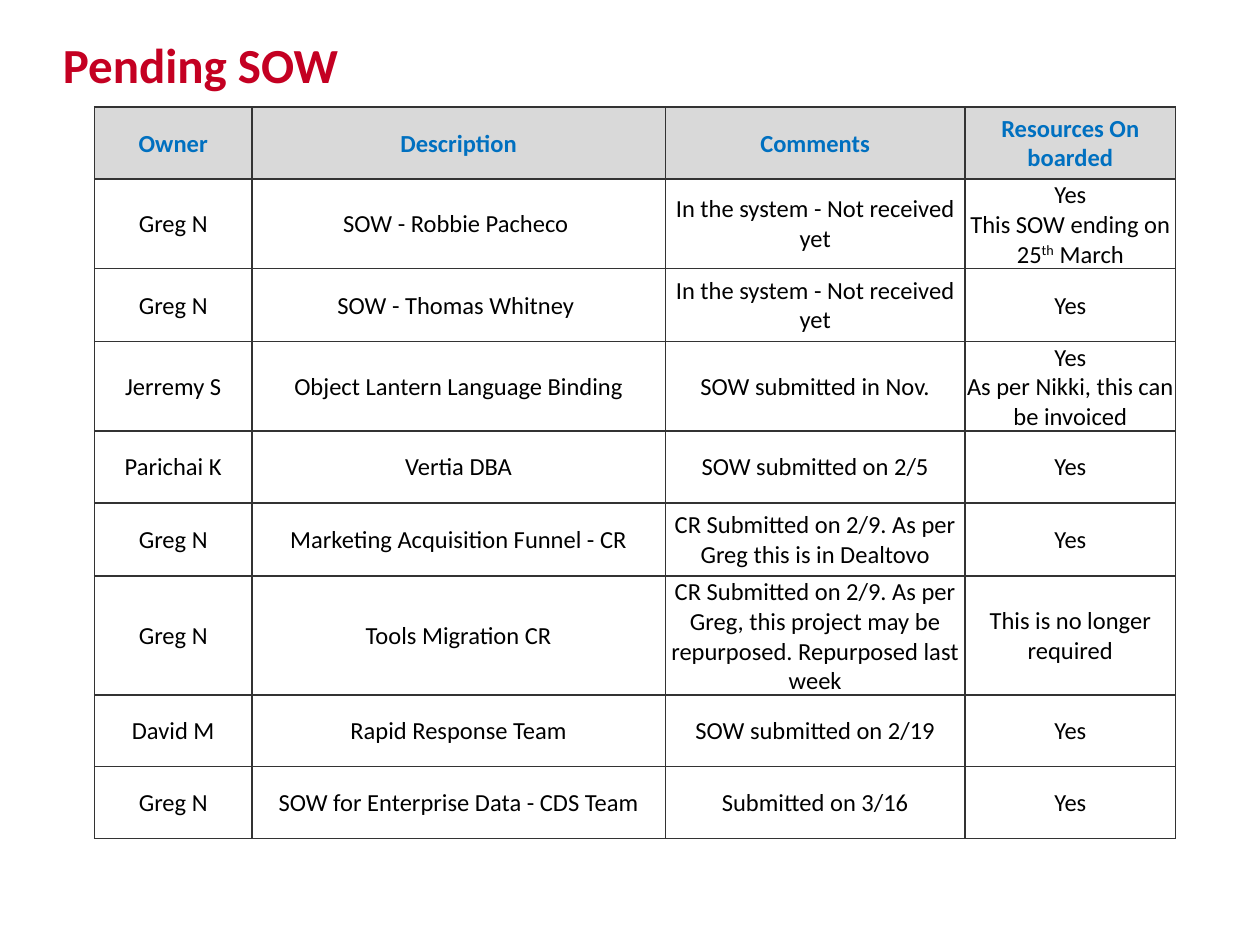
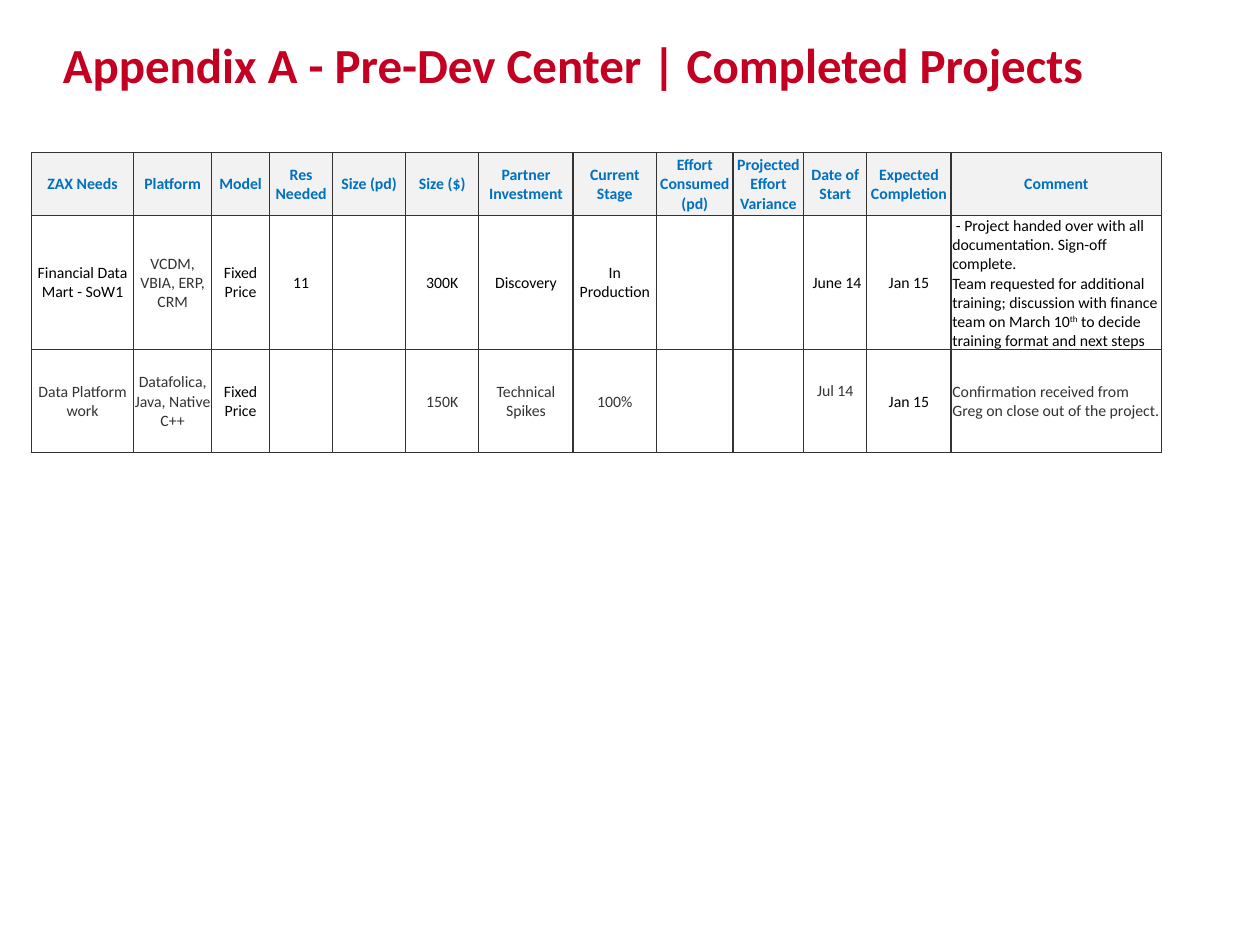
from lxml.etree import SubElement
from pptx import Presentation
from pptx.dml.color import RGBColor
from pptx.enum.text import MSO_ANCHOR as Anchor, PP_ALIGN as Align
from pptx.oxml.ns import qn
from pptx.util import Inches, Pt

FONT = "Calibri"
RED = RGBColor(0xC4, 0x00, 0x22)
BLUE = RGBColor(0x00, 0x70, 0xC0)
BLACK = RGBColor(0x00, 0x00, 0x00)
CHARCOAL = RGBColor(0x33, 0x33, 0x33)
GREY = RGBColor(0xD9, 0xD9, 0xD9)
PALE_GREY = RGBColor(0xF2, 0xF2, 0xF2)

# Pending statements of work; ^ encloses superscript text
PENDING_WIDTHS = [1.25, 3.28, 2.38, 1.67]
PENDING_HEIGHTS = [0.57, 0.58, 0.58, 0.57, 0.57, 0.58, 0.86, 0.57, 0.57]
PENDING_ROWS = [
    ["Owner", "Description", "Comments", "Resources On boarded"],
    ["Greg N", "SOW - Robbie Pacheco ", "In the system - Not received yet",
     "Yes\nThis SOW ending on 25^th^ March"],
    ["Greg N", "SOW - Thomas Whitney ", "In the system - Not received yet", "Yes"],
    ["Jerremy S", "Object Lantern Language Binding", "SOW submitted in Nov.",
     "Yes\nAs per Nikki, this can be invoiced"],
    ["Parichai K", "Vertia DBA", "SOW submitted on 2/5", "Yes"],
    ["Greg N", "Marketing Acquisition Funnel - CR",
     "CR Submitted on 2/9. As per Greg this is in Dealtovo", "Yes"],
    ["Greg N", "Tools Migration CR",
     "CR Submitted on 2/9. As per Greg, this project may be repurposed. "
     "Repurposed last week", "This is no longer required"],
    ["David M", "Rapid Response Team", "SOW submitted on 2/19", "Yes"],
    ["Greg N", "SOW for Enterprise Data - CDS Team", "Submitted on 3/16", "Yes"],
]

# Completed projects
PROJECT_WIDTHS = [0.81, 0.62, 0.46, 0.5, 0.58, 0.58, 0.75, 0.66, 0.61, 0.56,
                  0.5, 0.67, 1.67]
PROJECT_HEIGHTS = [0.5, 0.82, 0.82]
PROJECT_ROWS = [
    ["ZAX Needs", "Platform", "Model", "Res Needed", "Size (pd)", "Size ($)",
     "Partner Investment", "Current Stage", "Effort Consumed\n(pd)",
     "Projected Effort Variance", "Date of Start", "Expected Completion", "Comment"],
    ["Financial Data Mart - SoW1", "VCDM, VBIA, ERP, CRM", "Fixed Price", "11", "",
     "300K", "Discovery", "In Production", "", "", " June 14", "Jan 15",
     " - Project handed over with all documentation. Sign-off complete.\n"
     "Team requested for additional training; discussion with finance team on "
     "March 10^th^ to decide training format and next steps"],
    ["Data Platform work", "Datafolica, Java, Native C++", "Fixed Price", "", "",
     "150K", "Technical Spikes", "100%", "", "", "Jul 14", "Jan 15",
     "Confirmation received from Greg on close out of the project. "],
]
CHARCOAL_CELLS = {(1, 1), (2, 0), (2, 1), (2, 5), (2, 6), (2, 7), (2, 10), (2, 12)}
COMMENT_COLUMN = 12
START_COLUMN = 10


def write_text(frame, text, size, color=BLACK, bold=False, align=Align.CENTER,
               line_spacing=None):
    """One paragraph per line; text between ^ marks is superscript."""
    frame.word_wrap = True
    for index, line in enumerate(text.split("\n")):
        paragraph = frame.paragraphs[0] if index == 0 else frame.add_paragraph()
        paragraph.alignment = align
        paragraph.line_spacing = line_spacing
        paragraph.font.size = Pt(size)
        for position, part in enumerate(line.split("^")):
            if not part:
                continue
            run = paragraph.add_run()
            run.text = part
            run.font.name = FONT
            run.font.size = Pt(size)
            run.font.bold = bold
            run.font.color.rgb = color
            if position % 2:
                run._r.get_or_add_rPr().set("baseline", "30000")


def add_title(slide, text):
    shape = slide.shapes.add_textbox(Inches(0.5), Inches(0.25), Inches(9), Inches(0.5))
    frame = shape.text_frame
    frame.margin_left = frame.margin_right = frame.margin_top = frame.margin_bottom = 0
    frame.vertical_anchor = Anchor.BOTTOM
    write_text(frame, text, 28, color=RED, bold=True, align=Align.LEFT,
               line_spacing=0.9)


def add_borders(cell):
    properties = cell._tc.get_or_add_tcPr()
    for side in ("a:lnL", "a:lnR", "a:lnT", "a:lnB"):
        line = SubElement(properties, qn(side), w=str(Pt(1)))
        fill = SubElement(line, qn("a:solidFill"))
        SubElement(fill, qn("a:srgbClr"), val=str(CHARCOAL))


def format_cell(cell, fill):
    cell.vertical_anchor = Anchor.MIDDLE
    cell.margin_left = cell.margin_right = cell.margin_top = Inches(0.01)
    cell.margin_bottom = 0
    add_borders(cell)
    if fill is None:
        cell.fill.background()
    else:
        cell.fill.solid()
        cell.fill.fore_color.rgb = fill


def add_grid(slide, left, top, widths, heights, rows, size, header_fill,
             charcoal_cells=(), left_column=None):
    table = slide.shapes.add_table(
        len(rows), len(widths), Inches(left), Inches(top),
        Inches(sum(widths)), Inches(sum(heights))).table
    table.first_row = table.horz_banding = False
    for column, width in zip(table.columns, widths):
        column.width = Inches(width)
    for row, height in zip(table.rows, heights):
        row.height = Inches(height)

    for row_index, texts in enumerate(rows):
        header = row_index == 0
        for column_index, text in enumerate(texts):
            cell = table.cell(row_index, column_index)
            format_cell(cell, header_fill if header else None)
            body_color = (CHARCOAL if (row_index, column_index) in charcoal_cells
                          else BLACK)
            to_left = column_index == left_column and not header
            write_text(cell.text_frame, text, size, bold=header,
                       color=BLUE if header else body_color,
                       align=Align.LEFT if to_left else Align.CENTER)
    return table


def build_pending(slide):
    add_title(slide, "Pending SOW")
    add_grid(slide, 0.75, 0.85, PENDING_WIDTHS, PENDING_HEIGHTS, PENDING_ROWS,
             14, GREY)


def build_completed(slide):
    add_title(slide, "Appendix A - Pre-Dev Center | Completed Projects")
    table = add_grid(slide, 0.25, 1.21, PROJECT_WIDTHS, PROJECT_HEIGHTS, PROJECT_ROWS,
                     9, PALE_GREY, CHARCOAL_CELLS, COMMENT_COLUMN)
    # The last start date sits half a line above the middle
    table.cell(2, START_COLUMN).margin_bottom = Inches(0.16)


def main():
    presentation = Presentation()
    presentation.slide_width = Inches(10)
    presentation.slide_height = Inches(7.5)
    blank = presentation.slide_layouts[6]
    for build in (build_pending, build_completed):
        build(presentation.slides.add_slide(blank))
    presentation.save("out.pptx")


main()
